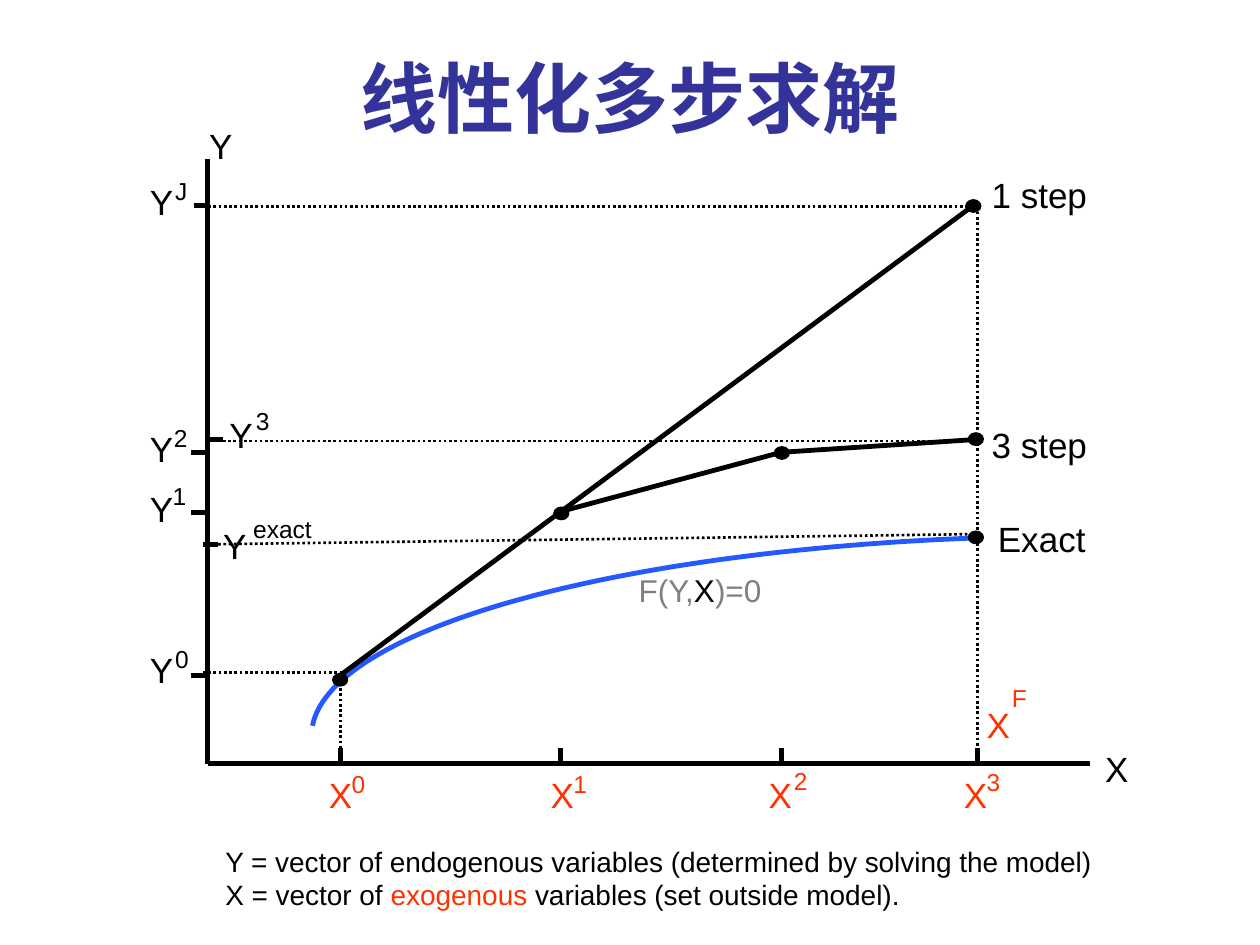
from dataclasses import dataclass

from pptx import Presentation
from pptx.dml.color import RGBColor
from pptx.enum.dml import MSO_LINE
from pptx.enum.shapes import MSO_CONNECTOR, MSO_SHAPE
from pptx.enum.text import MSO_ANCHOR, MSO_AUTO_SIZE, PP_ALIGN
from pptx.oxml.ns import qn
from pptx.slide import Slide
from pptx.util import Inches, Pt

COLS, ROWS = 100, 75
SLIDE_W, SLIDE_H = Inches(10), Inches(7.5)


@dataclass(frozen=True)
class Theme:
    font: str = "Arial"
    ink: RGBColor = RGBColor(0x00, 0x00, 0x00)
    title: RGBColor = RGBColor(0x33, 0x33, 0x99)
    exogenous: RGBColor = RGBColor(0xFF, 0x33, 0x00)
    curve: RGBColor = RGBColor(0x25, 0x59, 0xFF)
    muted: RGBColor = RGBColor(0x80, 0x80, 0x80)
    title_size: float = 44
    label_size: float = 20
    formula_size: float = 18
    note_size: float = 16
    sup_size: float = 14
    solid: float = 2.75
    dotted: float = 1.5
    dot_edge: float = 1.39


@dataclass(frozen=True)
class Point:
    col: float
    row: float


@dataclass(frozen=True)
class Label:
    text: str
    at: Point
    width: float = 1.9
    color: RGBColor = Theme.ink
    sup: str = ""
    shift: Point = Point(0, 0)
    sup_width: float = 1.1


@dataclass(frozen=True)
class Span:
    text: str
    color: RGBColor = Theme.ink


T = Theme()
AXIS_X, AXIS_Y = 16.5, 60.6
LAST_X = 77.6
TICK = 1.2
X_TICKS = (27, 44.5, 62, LAST_X)
Y_TICKS = (Point(15.4, 16.3), Point(15.2, 35.9), Point(15.2, 40.7),
           Point(15.2, 53.6), Point(16.5, 34.9), Point(16.1, 43.2))
DOTS = (Point(27, 53.95), Point(44.55, 40.75), Point(62.05, 35.95),
        Point(77.45, 34.85), Point(77.45, 42.65), Point(77.25, 16.35))
STEPS = ((Point(27, 53.6), Point(77.4, 16.2)),
         (Point(44.5, 40.6), Point(62, 35.9)),
         (Point(62, 35.9), Point(77.2, 34.9)))
GUIDES = ((Point(16.1, 16.4), Point(76.8, 16.4)),
          (Point(17.7, 35), Point(LAST_X, 35)),
          (Point(16.9, 43.2), Point(76.8, 42.4)),
          (Point(16.1, 53.4), Point(27.2, 53.4)),
          (Point(27, 54.2), Point(27, 60.5)),
          (Point(LAST_X, 16.4), Point(LAST_X, 60.5)))
CURVE = (Point(24.8, 57.6), Point(26.3, 50), Point(48.3, 43.8), Point(77.3, 42.7))
LABELS = (
    Label("Y", Point(16.6, 9.9)),
    Label("X", Point(87.7, 59.3)),
    Label("1 step", Point(78.7, 13.8), 7.6),
    Label("3 step", Point(78.7, 33.6), 7.6),
    Label("Exact", Point(79.2, 41.1), 7),
    Label("X", Point(26.1, 61.4), color=T.exogenous, sup="0", shift=Point(1.8, -0.4)),
    Label("X", Point(43.7, 61.4), color=T.exogenous, sup="1", shift=Point(1.8, -0.4)),
    Label("X", Point(61, 61.4), color=T.exogenous, sup="2", shift=Point(2, -0.6)),
    Label("X", Point(76.5, 61.4), color=T.exogenous, sup="3", shift=Point(1.8, -0.5)),
    Label("X", Point(78.3, 55.8), color=T.exogenous, sup="F", shift=Point(2, -1.6)),
    Label("Y", Point(11.9, 51.5), sup="0", shift=Point(2, -0.4)),
    Label("Y", Point(11.9, 38.7), sup="1", shift=Point(1.8, -0.5)),
    Label("Y", Point(11.9, 33.9), sup="2", shift=Point(1.9, -0.3)),
    Label("Y", Point(18.2, 32.8), sup="3", shift=Point(2.1, -0.6)),
    Label("Y", Point(17.7, 41.6), sup="exact", shift=Point(2.4, -0.8), sup_width=4.7),
    Label("Y", Point(11.9, 14.3), sup="J", shift=Point(2, -0.3)),
)
FORMULA = ((Span("F(Y,", T.muted), Span("X"), Span(")=0", T.muted)),)
NOTES = (
    (Span("Y = vector of endogenous variables (determined by solving the model)"),),
    (Span("X = vector of "), Span("exogenous", T.exogenous),
     Span(" variables (set outside model).")),
)


def x(col: float) -> int:
    return round(SLIDE_W * col / COLS)


def y(row: float) -> int:
    return round(SLIDE_H * row / ROWS)


def add_line(s: Slide, start: Point, end: Point, dotted: bool = False) -> None:
    sp = s.shapes.add_connector(MSO_CONNECTOR.STRAIGHT, x(start.col), y(start.row),
                                x(end.col), y(end.row))
    sp.line.color.rgb = T.ink
    sp.line.width = Pt(T.dotted if dotted else T.solid)
    if dotted:
        sp.line.dash_style = MSO_LINE.ROUND_DOT
    sp._element.spPr.append(sp._element.spPr.makeelement(qn("a:effectLst"), {}))


def add_dot(s: Slide, center: Point, w: float = 1.1, h: float = 0.9) -> None:
    sp = s.shapes.add_shape(MSO_SHAPE.OVAL, x(center.col - w / 2),
                            y(center.row - h / 2), x(w), y(h))
    sp.shadow.inherit = False
    sp.fill.solid()
    sp.fill.fore_color.rgb = T.ink
    sp.line.color.rgb = T.ink
    sp.line.width = Pt(T.dot_edge)


def add_curve(s: Slide, controls: tuple[Point, ...], segments: int = 60) -> None:
    points = []
    for i in range(segments + 1):
        t = i / segments
        weights = ((1 - t) ** 3, 3 * t * (1 - t) ** 2, 3 * t * t * (1 - t), t ** 3)
        points.append((x(sum(w * c.col for w, c in zip(weights, controls))),
                       y(sum(w * c.row for w, c in zip(weights, controls)))))
    builder = s.shapes.build_freeform(*points[0])
    builder.add_line_segments(points[1:], close=False)
    sp = builder.convert_to_shape()
    sp.shadow.inherit = False
    sp.fill.background()
    sp.line.color.rgb = T.curve
    sp.line.width = Pt(T.solid)


def add_text(s: Slide, lines: tuple[tuple[Span, ...], ...], at: Point, width: float,
             height: float, size: float, inset: bool = False, wrap: bool = False) -> None:
    sp = s.shapes.add_textbox(x(at.col), y(at.row), x(width), y(height))
    tf = sp.text_frame
    tf.word_wrap = wrap
    tf.auto_size = MSO_AUTO_SIZE.SHAPE_TO_FIT_TEXT
    if not inset:
        tf.margin_left = tf.margin_right = tf.margin_top = tf.margin_bottom = 0
    for i, spans in enumerate(lines):
        p = tf.add_paragraph() if i else tf.paragraphs[0]
        p.font.name = T.font
        p.font.size = Pt(size)
        for span in spans:
            r = p.add_run()
            r.text = span.text
            r.font.color.rgb = span.color


def add_label(s: Slide, label: Label) -> None:
    add_text(s, ((Span(label.text, label.color),),), label.at, label.width, 3.3,
             T.label_size)
    if label.sup:
        at = Point(label.at.col + label.shift.col, label.at.row + label.shift.row)
        add_text(s, ((Span(label.sup, label.color),),), at, label.sup_width, 2.3,
                 T.sup_size)


def add_title(s: Slide, text: str) -> None:
    sp = s.shapes.title
    sp.left, sp.top, sp.width, sp.height = x(5), y(3), x(90), y(9.3)
    tf = sp.text_frame
    tf.text = text
    tf.vertical_anchor = MSO_ANCHOR.MIDDLE
    p = tf.paragraphs[0]
    p.alignment = PP_ALIGN.CENTER
    p.font.name = T.font
    p.font.size = Pt(T.title_size)
    p.font.bold = True
    p.font.color.rgb = T.title


def main() -> None:
    prs = Presentation()
    prs.slide_width, prs.slide_height = SLIDE_W, SLIDE_H
    s = prs.slides.add_slide(prs.slide_layouts[5])
    add_title(s, "线性化多步求解")
    origin = Point(AXIS_X, AXIS_Y)
    add_line(s, Point(AXIS_X, 12.6), origin)
    add_line(s, origin, Point(86.5, AXIS_Y))
    add_curve(s, CURVE)
    for start, end in STEPS:
        add_line(s, start, end)
    for col in X_TICKS:
        add_line(s, Point(col, AXIS_Y - TICK), Point(col, AXIS_Y))
    for tick in Y_TICKS:
        add_line(s, tick, Point(tick.col + TICK, tick.row))
    for label in LABELS:
        add_label(s, label)
    for dot in DOTS:
        add_dot(s, dot)
    for start, end in GUIDES:
        add_line(s, start, end, dotted=True)
    add_text(s, FORMULA, Point(49.7, 44.8), 12, 4, T.formula_size, inset=True)
    add_text(s, NOTES, Point(16.9, 66.5), 72.4, 6.4, T.note_size, inset=True, wrap=True)
    prs.save("out.pptx")


if __name__ == "__main__":
    main()
